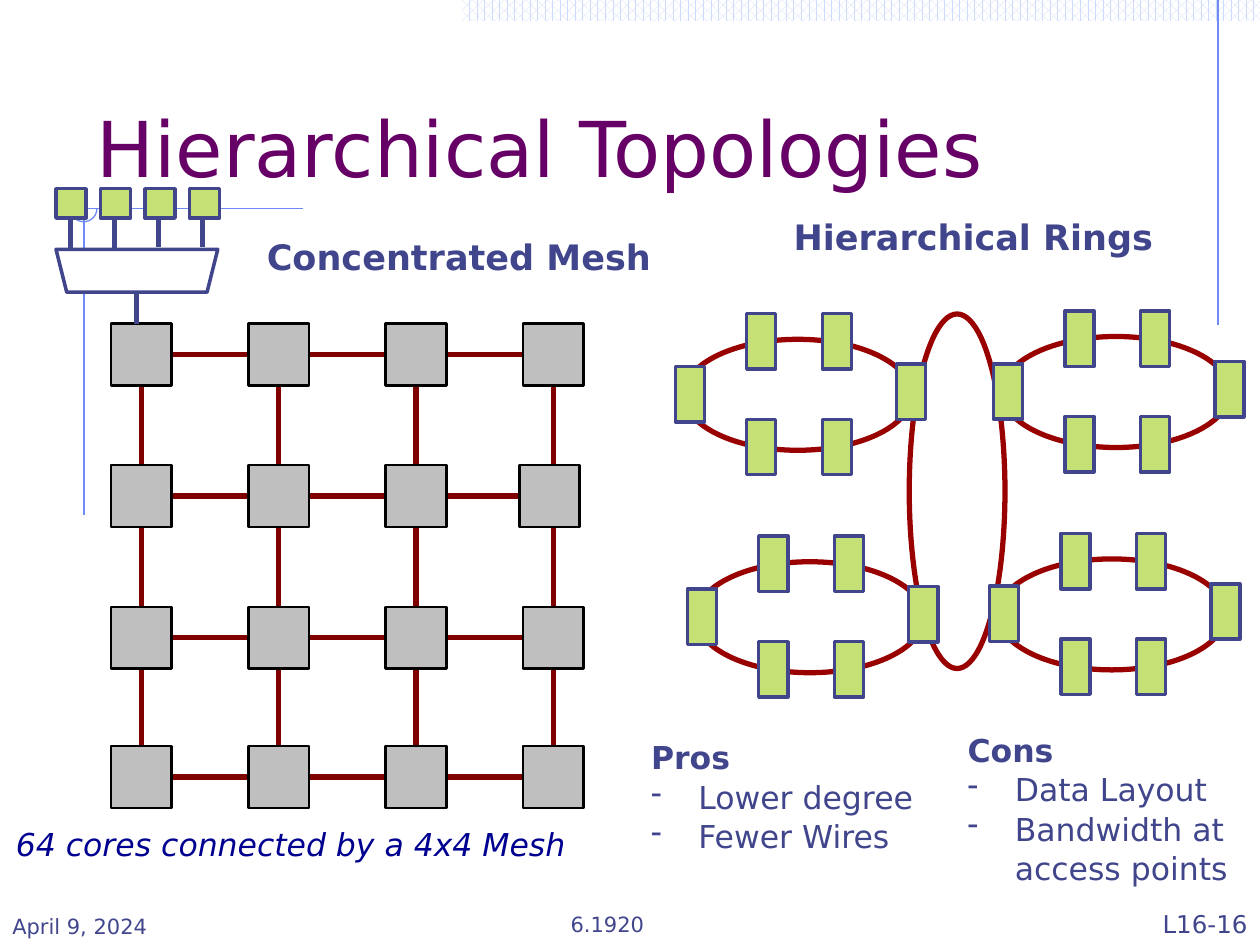
import pptx
import pptx.util
import pptx.dml.color
import pptx.enum.dml
import pptx.enum.shapes
import pptx.enum.text
import lxml.etree
import pptx.oxml.ns

Pt = pptx.util.Pt
KIND = pptx.enum.shapes.MSO_SHAPE
ALIGN = pptx.enum.text.PP_ALIGN
ANCHOR = pptx.enum.text.MSO_ANCHOR
FONT = "DejaVu Sans"
COLORS = {
    "ink": "40458C", "title": "660066", "note": "000090", "ring": "990000",
    "wire": "800000", "router": "BFBFBF", "core": "C5E176", "black": "000000",
    "white": "FFFFFF", "pale": "CFDBFD", "trim": "6F89F7",
}


def tint(name):
    return pptx.dml.color.RGBColor.from_string(COLORS[name])


def add_line(slide, x1, y1, x2, y2, color, width):
    line = slide.shapes.add_connector(
        pptx.enum.shapes.MSO_CONNECTOR.STRAIGHT, Pt(x1), Pt(y1), Pt(x2), Pt(y2))
    line.line.color.rgb = tint(color)
    line.line.width = Pt(width)
    lxml.etree.SubElement(line._element.spPr, pptx.oxml.ns.qn("a:effectLst"))


def add_shape(slide, kind, x, y, w, h, fill, color, width):
    shape = slide.shapes.add_shape(kind, Pt(x), Pt(y), Pt(w), Pt(h))
    shape.shadow.inherit = False
    if fill:
        shape.fill.solid()
        shape.fill.fore_color.rgb = tint(fill)
    else:
        shape.fill.background()
    if color:
        shape.line.color.rgb = tint(color)
        shape.line.width = Pt(width)
    else:
        shape.line.fill.background()
    return shape


def style(par, size, color, bold=False, italic=False):
    for run in par.runs:
        font = run.font
        font.name, font.size = FONT, Pt(size)
        font.bold, font.italic = bold, italic
        font.color.rgb = tint(color)


def add_text(slide, x, y, w, h, text, size, color="ink", bold=False,
             italic=False, align=ALIGN.LEFT, anchor=ANCHOR.TOP):
    frame = slide.shapes.add_textbox(Pt(x), Pt(y), Pt(w), Pt(h)).text_frame
    frame.word_wrap = True
    frame.vertical_anchor = anchor
    frame.text = text
    for par in frame.paragraphs:
        par.alignment = align
        par.line_spacing = 1.04
        style(par, size, color, bold, italic)
    return frame


def add_list(slide, x, y, w, h, head, items):
    """Bold heading followed by dashed items."""
    frame = add_text(slide, x, y, w, h, "\n".join([head] + items), 18)
    style(frame.paragraphs[0], 18, "ink", bold=True)
    for par in frame.paragraphs[1:]:
        props = par._p.get_or_add_pPr()
        props.set("marL", str(Pt(27)))
        props.set("indent", str(-Pt(27)))
        lxml.etree.SubElement(props, pptx.oxml.ns.qn("a:buChar"), char="-")


def add_trim(slide):
    """Patterned strip and thin rules behind the content."""
    strip = add_shape(slide, KIND.RECTANGLE, 264, 0, 456, 12, None, None, 0)
    strip.fill.patterned()
    strip.fill.pattern = pptx.enum.dml.MSO_PATTERN.PERCENT_60
    strip.fill.fore_color.rgb = tint("pale")
    strip.fill.back_color.rgb = tint("white")
    for ends in ((696, 0, 696, 186), (173, 119.3, 32.4, 119.3),
                 (48, 111.6, 48, 294.5)):
        add_line(slide, *ends, "trim", 0.75)
    arc = add_shape(slide, KIND.ARC, 40.3, 111.6, 15.1, 15.1, None, "trim", 0.75)
    arc.adjustments[0] = 0
    arc.adjustments[1] = 162


def add_title(slide, text):
    title = slide.shapes.title
    title.left, title.top = Pt(48), Pt(24)
    title.width, title.height = Pt(615), Pt(90)
    frame = title.text_frame
    frame.text = text
    frame.vertical_anchor = ANCHOR.BOTTOM
    frame.auto_size = pptx.enum.text.MSO_AUTO_SIZE.NONE
    frame.paragraphs[0].alignment = ALIGN.LEFT
    style(frame.paragraphs[0], 44, "title")


def add_mesh(slide):
    w, h = 34.6, 35.3
    cols = [63.4 + 78.5 * i for i in range(4)]
    rows = [185, 265.8, 346.8, 426.4]
    for y in rows:
        add_line(slide, cols[0] + w, y + h / 2, cols[-1], y + h / 2, "wire", 3)
    for x in cols:
        add_line(slide, x + w / 2, rows[0] + h, x + w / 2, rows[-1], "wire", 3)
    for r, y in enumerate(rows):
        for c, x in enumerate(cols):
            shift = -2.2 if (r, c) == (1, 3) else 0
            add_shape(slide, KIND.RECTANGLE, x + shift, y, w, h,
                      "router", "black", 1.5)


def add_hub(slide):
    """Four cores sharing one port of the mesh."""
    for i in range(4):
        x = 32 + 25.4 * i
        add_shape(slide, KIND.RECTANGLE, x, 107.8, 17.3, 16.8, "core", "ink", 2)
    hub = add_shape(slide, KIND.TRAPEZOID, 32, 142.5, 92.4, 24.5,
                    "white", "ink", 2)
    hub.rotation = 180
    add_line(slide, 77.9, 167, 77.9, 185, "ink", 3)
    for i, y in enumerate((124.6, 124.6, 123.4, 123.4)):
        x = 40.5 + 25.1 * i
        add_line(slide, x, y, x, y + 17.8, "ink", 3)


def add_ring(slide, x, y):
    add_shape(slide, KIND.OVAL, x, y, 130.3, 63.4, None, "ring", 3)
    spots = [(-4.7, 15.6), (36, -14.6), (79.3, -14.6),
             (36, 45.7), (79.3, 45.7), (121.7, 14.2)]
    for dx, dy in spots:
        add_shape(slide, KIND.RECTANGLE, x + dx, y + dy, 16.6, 31.7,
                  "core", "ink", 2)


def main():
    deck = pptx.Presentation()
    deck.slide_width, deck.slide_height = Pt(720), Pt(540)
    slide = deck.slides.add_slide(deck.slide_layouts[5])
    add_trim(slide)
    add_title(slide, "Hierarchical Topologies")
    add_mesh(slide)
    add_hub(slide)
    add_shape(slide, KIND.OVAL, 519.6, 179.4, 54.7, 202.6, None, "ring", 3)
    for x, y in ((390.7, 193.9), (572.5, 192.3), (397.6, 321), (570.2, 319.4)):
        add_ring(slide, x, y)

    add_text(slide, 145.4, 130.3, 247.7, 31.7, "Concentrated Mesh", 20, bold=True)
    add_text(slide, 446.4, 118.8, 224, 31.7, "Hierarchical Rings", 20, bold=True)
    add_text(slide, 2, 467.3, 357, 28.8, "64 cores connected by a 4x4 Mesh", 18,
             "note", italic=True)
    add_list(slide, 365, 417.6, 224, 72.7, "Pros", ["Lower degree", "Fewer Wires"])
    add_list(slide, 545.8, 413.3, 174.2, 94.3, "Cons",
             ["Data Layout", "Bandwidth at access points"])

    low = ANCHOR.BOTTOM
    add_text(slide, 0, 504, 150, 36, "April 9, 2024", 12, anchor=low)
    add_text(slide, 319, 502.6, 150, 36, "6.1920", 12, anchor=low)
    add_text(slide, 570, 504, 150, 36, "L16-16", 14, align=ALIGN.RIGHT, anchor=low)
    deck.save("out.pptx")


if __name__ == "__main__":
    main()
